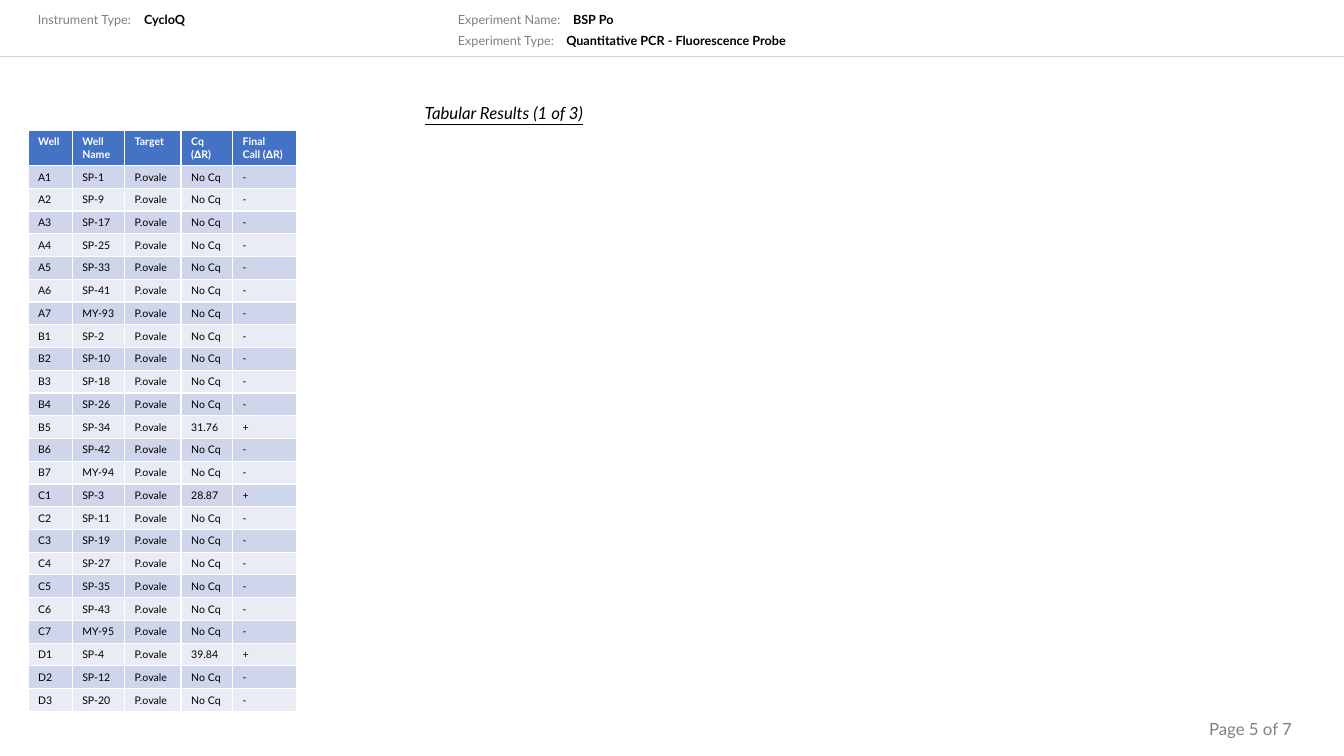
"""Builds the slide with the first table of quantitative PCR results."""
from lxml.etree import SubElement
from pptx import Presentation
from pptx.dml.color import RGBColor
from pptx.enum.shapes import MSO_CONNECTOR
from pptx.enum.text import MSO_ANCHOR, MSO_AUTO_SIZE, PP_ALIGN
from pptx.oxml.ns import qn
from pptx.util import Inches, Pt

BLACK = RGBColor(0x00, 0x00, 0x00)
WHITE = RGBColor(0xFF, 0xFF, 0xFF)
GREY = RGBColor(0x80, 0x80, 0x80)
RULE_BLUE = RGBColor(0xCB, 0xD6, 0xDC)
HEADER_BLUE = RGBColor(0x44, 0x72, 0xC4)
BAND_COLORS = RGBColor(0xE9, 0xEB, 0xF5), RGBColor(0xCF, 0xD5, 0xEA)

presentation = Presentation()
presentation.slide_width = Inches(13.33)
presentation.slide_height = Inches(7.5)
COLUMN = presentation.slide_width / 48
ROW = presentation.slide_height / 27
slide = presentation.slides.add_slide(presentation.slide_layouts[5])


def add_text(paragraph, text, size, color, bold=False):
    run = paragraph.add_run()
    run.text = text
    run.font.name = "Lato"
    run.font.size = Pt(size)
    run.font.bold = bold
    run.font.color.rgb = color
    return run


def place(shape, column, row, columns, rows):
    shape.left, shape.top = int(column * COLUMN), int(row * ROW)
    shape.width, shape.height = int(columns * COLUMN), int(rows * ROW)
    shape.text_frame.word_wrap = True
    shape.text_frame.auto_size = MSO_AUTO_SIZE.NONE
    shape.text_frame.vertical_anchor = MSO_ANCHOR.TOP
    return shape.text_frame.paragraphs[0]


header_fields = [
    (1, 4.68, 0.25, "Instrument Type:", " CycloQ"),
    (16, 20, 0.25, "Experiment Name:", " BSP Po"),
    (16, 19.76, 1, "Experiment Type:", " Quantitative PCR - Fluorescence Probe"),
]
for label_column, value_column, row, label, value in header_fields:
    label_box = slide.shapes.add_textbox(0, 0, 0, 0)
    add_text(place(label_box, label_column, row, 5, 0.9), label, 9, GREY)
    value_box = slide.shapes.add_textbox(0, 0, 0, 0)
    add_text(place(value_box, value_column, row, 11, 0.9), value, 9, BLACK, bold=True)

header_rule = slide.shapes.add_connector(
    MSO_CONNECTOR.STRAIGHT, 0, int(2 * ROW), presentation.slide_width, int(2 * ROW)
)
header_rule.line.color.rgb = RULE_BLUE
header_rule.line.width = Pt(0.5)
SubElement(header_rule._element.spPr, qn("a:effectLst"))

title_paragraph = place(slide.shapes.title, 1, 3.5, 34, 1.08)
title_paragraph.alignment = PP_ALIGN.CENTER
title_run = add_text(title_paragraph, "Tabular Results (1 of 3)", 12, BLACK)
title_run.font.italic = True
title_run.font.underline = True

page_paragraph = place(slide.shapes.add_textbox(0, 0, 0, 0), 40.5, 25.5, 6, 1.08)
page_paragraph.alignment = PP_ALIGN.RIGHT
add_text(page_paragraph, "Page 5 of 7", 12, GREY)

headings = ["Well", "Well\nName", "Target", "Cq\n(∆R)", "Final\nCall (∆R)"]
positive_wells = {"B5": "31.76", "C1": "28.87", "D1": "39.84"}
wells = [(letter, number) for letter in "ABC" for number in range(1, 8)]
wells += [("D", number) for number in range(1, 4)]

table_rows = [headings]
for letter, number in wells:
    well = f"{letter}{number}"
    plate_row = "ABCD".index(letter)
    sample = f"MY-{93 + plate_row}" if number == 7 else f"SP-{8 * (number - 1) + plate_row + 1}"
    call = "+" if well in positive_wells else "-"
    table_rows.append([well, sample, "P.ovale", positive_wells.get(well, "No Cq"), call])

column_widths = [1.58, 1.87, 2.02, 1.84, 2.3]
results_table = slide.shapes.add_table(
    len(table_rows), len(headings), int(COLUMN), int(4.65 * ROW),
    int(sum(column_widths) * COLUMN), int(18 * ROW),
).table
for table_column, width in zip(results_table.columns, column_widths):
    table_column.width = int(width * COLUMN)

for row_index, values in enumerate(table_rows):
    is_header = row_index == 0
    results_table.rows[row_index].height = int(0.72 * ROW)
    for column_index, value in enumerate(values):
        cell = results_table.cell(row_index, column_index)
        cell.fill.solid()
        cell.fill.fore_color.rgb = HEADER_BLUE if is_header else BAND_COLORS[row_index % 2]
        for line_index, line in enumerate(value.split("\n")):
            frame = cell.text_frame
            paragraph = frame.add_paragraph() if line_index else frame.paragraphs[0]
            add_text(paragraph, line, 7.5, WHITE if is_header else BLACK, bold=is_header)

presentation.save("out.pptx")
